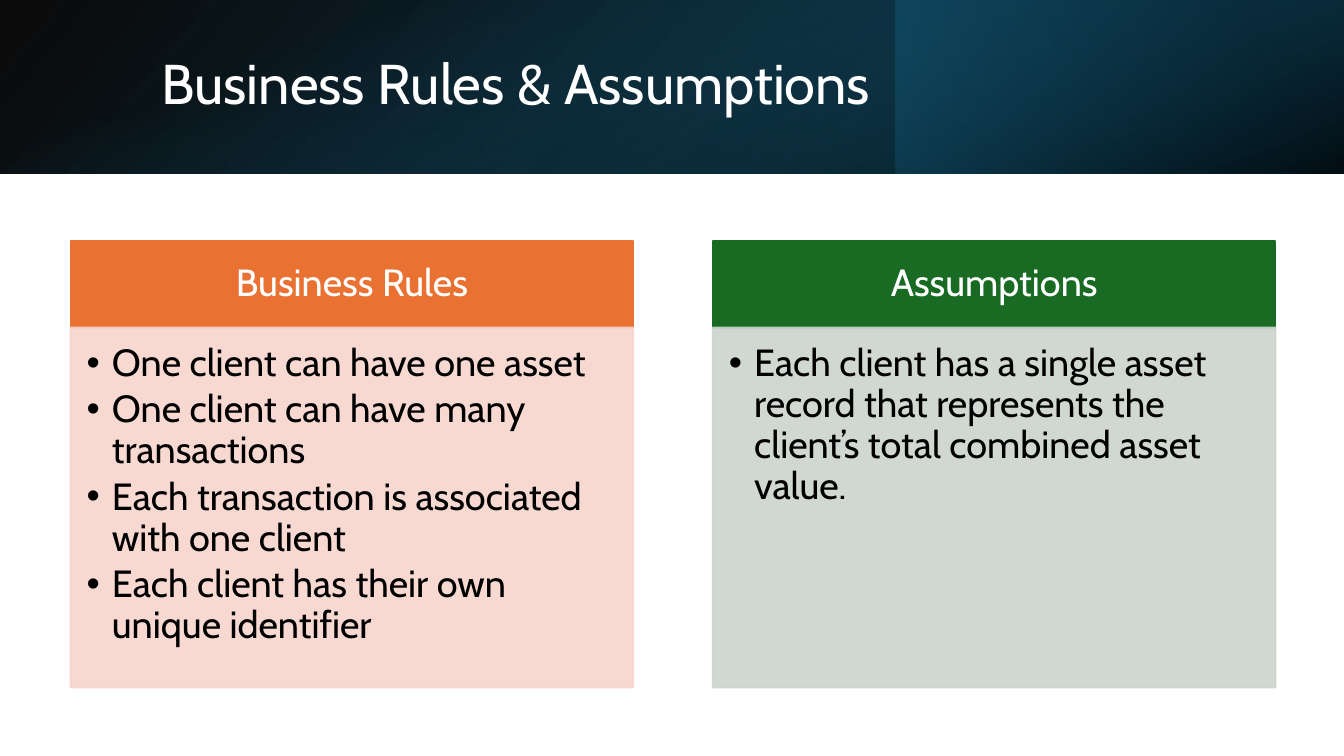
from dataclasses import dataclass

from pptx import Presentation
from pptx.dml.color import RGBColor
from pptx.enum.shapes import MSO_SHAPE as Shape
from pptx.enum.text import MSO_ANCHOR as Anchor, MSO_AUTO_SIZE as AutoSize, PP_ALIGN as Align
from pptx.oxml import parse_xml
from pptx.oxml.ns import nsdecls, qn
from pptx.util import Inches, Pt


@dataclass(frozen=True)
class Theme:
    font: str = "Cabin"
    title_size: int = 40
    text_size: int = 27
    white: str = "FFFFFF"
    black: str = "000000"
    navy: str = "104862"
    deep_blue: str = "0B3041"
    blue: str = "156082"
    orange: str = "E97132"
    pale_orange: str = "F7D5CE"
    green: str = "196B24"
    pale_green: str = "CCD4CD"


THEME = Theme()
SLIDE_WIDTH, SLIDE_HEIGHT = 13.33, 7.5
BAND_HEIGHT = 1.72

BAND_LAYERS = [
    {"left": 0, "width": SLIDE_WIDTH, "flip": True, "rotation": 0, "angle": 140,
     "stops": [(0, THEME.black, 96), (1, THEME.navy, 100)]},
    {"left": SLIDE_WIDTH * 2 / 3, "width": SLIDE_WIDTH / 3, "flip": False, "rotation": 180, "angle": 320,
     "stops": [(0.19, THEME.deep_blue, 68), (1, THEME.blue, 79)]},
    {"left": 0, "width": SLIDE_WIDTH, "flip": False, "rotation": 90, "angle": 340,
     "stops": [(0.23, THEME.blue, 0), (0.99, THEME.black, 74)]},
]

PANELS = [
    {"heading": "Business Rules", "dark": THEME.orange, "pale": THEME.pale_orange,
     "items": ["One client can have one asset",
               "One client can have many transactions",
               "Each transaction is associated with one client",
               "Each client has their own unique identifier"]},
    {"heading": "Assumptions", "dark": THEME.green, "pale": THEME.pale_green,
     "items": ["Each client has a single asset record that represents "
               "the client’s total combined asset value."]},
]


def set_attributes(target, values):
    for name, value in values.items():
        setattr(target, name, value)


def place(shape, left, top, width, height):
    set_attributes(shape, {"left": Inches(left), "top": Inches(top),
                           "width": Inches(width), "height": Inches(height)})


def set_opacity(color_element, percent):
    color_element.append(parse_xml(f'<a:alpha {nsdecls("a")} val="{percent * 1000}"/>'))


def paint(shape, color, opacity=100):
    shape.fill.solid()
    shape.fill.fore_color.rgb = RGBColor.from_string(color)
    shape.line.color.rgb = RGBColor.from_string(color)
    shape.line.width = Pt(1.5)
    for color_element in shape.element.spPr.iter(qn("a:srgbClr")):
        set_opacity(color_element, opacity)


def write(shape, lines, size, color, anchor, align, margins, space_after=0):
    frame = shape.text_frame
    left, top, right, bottom = map(Inches, margins)
    set_attributes(frame, {"text": "\n".join(lines), "word_wrap": True, "auto_size": AutoSize.NONE,
                           "vertical_anchor": anchor, "margin_left": left, "margin_top": top,
                           "margin_right": right, "margin_bottom": bottom})
    for paragraph in frame.paragraphs:
        set_attributes(paragraph, {"alignment": align, "line_spacing": 0.9,
                                   "space_before": Pt(0), "space_after": Pt(space_after)})
        font = paragraph.runs[0].font
        set_attributes(font, {"name": THEME.font, "size": Pt(size), "bold": False})
        font.color.rgb = RGBColor.from_string(color)


def add_bullets(shape):
    for paragraph in shape.text_frame.paragraphs:
        properties = paragraph._p.get_or_add_pPr()
        properties.set("marL", str(Inches(0.25)))
        properties.set("indent", str(Inches(-0.25)))
        properties.append(parse_xml(f'<a:buChar {nsdecls("a")} char="•"/>'))


def add_band_layer(slide, depth, top, height, layer):
    width = layer["width"]
    shape = slide.shapes.add_shape(Shape.RECTANGLE, 0, 0, 0, 0)
    if layer["rotation"] == 90:
        place(shape, layer["left"] + (width - height) / 2, top + (height - width) / 2, height, width)
    else:
        place(shape, layer["left"], top, width, height)
    shape.rotation = layer["rotation"]
    shape.shadow.inherit = False
    shape.line.fill.background()
    shape.fill.gradient()
    shape.fill.gradient_angle = 360 - layer["angle"]
    for stop, (position, color, _) in zip(shape.fill.gradient_stops, layer["stops"]):
        stop.position = position
        stop.color.rgb = RGBColor.from_string(color)
    color_elements = shape.element.spPr.iter(qn("a:srgbClr"))
    for color_element, (_, _, opacity) in zip(color_elements, layer["stops"]):
        set_opacity(color_element, opacity)
    if layer["flip"]:
        shape.element.spPr.find(qn("a:xfrm")).set("flipH", "1")
    shape.element.getparent().insert(2 + depth, shape.element)


def build_title_band(slide, top, height):
    for depth, layer in enumerate(BAND_LAYERS):
        add_band_layer(slide, depth, top, height, layer)
    title = slide.shapes.title
    place(title, 1.5, top + 0.38, 10.98, 0.96)
    write(title, ["Business Rules & Assumptions"], THEME.title_size, THEME.white,
          Anchor.MIDDLE, Align.LEFT, (0.1, 0.05, 0.1, 0.05))


def build_panel(header, body, panel, left, top, width, height):
    header_height = 0.86
    place(header, left, top, width, header_height)
    paint(header, panel["dark"])
    write(header, [panel["heading"]], THEME.text_size, THEME.white,
          Anchor.MIDDLE, Align.CENTER, (0.21, 0.12, 0.21, 0.12))
    place(body, left, top + header_height, width, height - header_height)
    paint(body, panel["pale"], 90)
    write(body, panel["items"], THEME.text_size, THEME.black,
          Anchor.TOP, Align.LEFT, (0.16, 0.16, 0.21, 0.24), space_after=4)
    add_bullets(body)


def build_comparison_slide(presentation):
    slide = presentation.slides.add_slide(presentation.slide_layouts.get_by_name("Comparison"))
    build_title_band(slide, 0, BAND_HEIGHT)
    _, *placeholders = slide.placeholders
    panel_width, gap = 5.58, 0.79
    for index, panel in enumerate(PANELS):
        header, body = placeholders[2 * index:2 * index + 2]
        build_panel(header, body, panel, 0.7 + index * (panel_width + gap), 2.39, panel_width, 4.43)


def main():
    presentation = Presentation()
    presentation.slide_width = Inches(SLIDE_WIDTH)
    presentation.slide_height = Inches(SLIDE_HEIGHT)
    build_comparison_slide(presentation)
    presentation.save("out.pptx")


if __name__ == "__main__":
    main()
